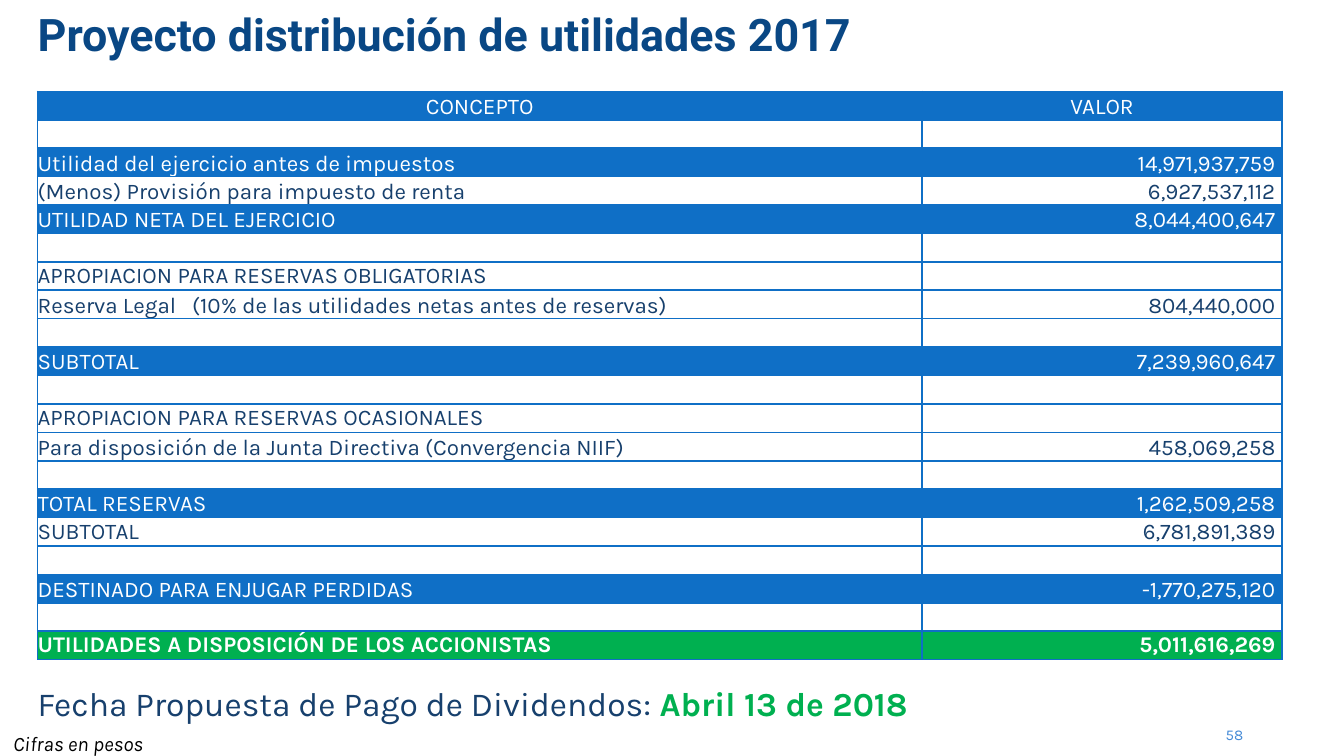
from dataclasses import dataclass
from enum import Enum
from typing import Optional

import pptx
import pptx.dml.color
import pptx.enum.text
import pptx.oxml.ns
import pptx.util
from lxml import etree

Inches = pptx.util.Inches
Align = pptx.enum.text.PP_ALIGN
Anchor = pptx.enum.text.MSO_ANCHOR
qn = pptx.oxml.ns.qn


@dataclass(frozen=True)
class Theme:
    heading_font: str = "Roboto"
    body_font: str = "Karla"
    title: str = "094784"
    text: str = "17406D"
    blue: str = "0F6FC6"
    green: str = "00B050"
    white: str = "FFFFFF"
    black: str = "000000"
    page_number: str = "448AD7"
    title_size: float = 24
    date_size: float = 18
    table_size: float = 12
    note_size: float = 11
    number_size: float = 8
    border_width: float = 1


THEME = Theme()


class RowKind(Enum):
    PLAIN = (None, THEME.text)
    BLUE = (THEME.blue, THEME.white)
    GREEN = (THEME.green, THEME.white)


@dataclass(frozen=True)
class Row:
    concept: str = ""
    value: str = ""
    kind: RowKind = RowKind.PLAIN
    anchor: Anchor = Anchor.BOTTOM


@dataclass(frozen=True)
class Span:
    text: str
    size: float
    color: str
    font: str = THEME.body_font
    bold: bool = False
    italic: bool = False


@dataclass(frozen=True)
class Box:
    left: float
    top: float
    width: float
    height: float
    spans: tuple[Span, ...]
    align: Align = Align.LEFT
    anchor: Anchor = Anchor.TOP
    margins: tuple[float, float] = (0, 0)
    line_spacing: Optional[float] = None


BLANK = Row()
ROWS = (
    Row("CONCEPTO", "VALOR", RowKind.BLUE),
    BLANK,
    Row("Utilidad del ejercicio antes de impuestos", "14,971,937,759", RowKind.BLUE),
    Row("(Menos) Provisión para impuesto de renta", "6,927,537,112"),
    Row("UTILIDAD NETA DEL EJERCICIO", "8,044,400,647", RowKind.BLUE),
    BLANK,
    Row("APROPIACION PARA RESERVAS OBLIGATORIAS", anchor=Anchor.MIDDLE),
    Row("Reserva Legal\t(10% de las utilidades netas antes de reservas)", "804,440,000"),
    BLANK,
    Row("SUBTOTAL", "7,239,960,647", RowKind.BLUE),
    BLANK,
    Row("APROPIACION PARA RESERVAS OCASIONALES", anchor=Anchor.MIDDLE),
    Row("Para disposición de la Junta Directiva (Convergencia NIIF)", "458,069,258"),
    BLANK,
    Row("TOTAL RESERVAS", "1,262,509,258", RowKind.BLUE),
    Row("SUBTOTAL", "6,781,891,389", anchor=Anchor.MIDDLE),
    BLANK,
    Row("DESTINADO PARA ENJUGAR PERDIDAS", "-1,770,275,120", RowKind.BLUE),
    BLANK,
    Row("UTILIDADES A DISPOSICIÓN DE LOS ACCIONISTAS", "5,011,616,269",
        RowKind.GREEN, Anchor.MIDDLE),
)
COLUMN_WIDTHS = (6.58, 2.68)
TABLE_HEIGHT = 4.23
VALUE_MARGIN = 0.05
TAB_STOP = 1.15

BOXES = (
    Box(8.93, 5.4, 0.32, 0.13, (Span("58", THEME.number_size, THEME.page_number),),
        align=Align.RIGHT, anchor=Anchor.BOTTOM),
    Box(0, 5.39, 5.56, 0.25,
        (Span("Cifras en pesos", THEME.note_size, THEME.black, italic=True),),
        margins=(0.1, 0.05)),
    Box(0.28, 0.11, 7.71, 0.57,
        (Span("Proyecto distribución de utilidades 2017", THEME.title_size, THEME.title,
              THEME.heading_font, bold=True),),
        line_spacing=0.85),
    Box(0.28, 5.02, 9.25, 0.33,
        (Span("Fecha Propuesta de Pago de Dividendos: ", THEME.date_size, THEME.text),
         Span("Abril 13 de 2018", THEME.date_size, THEME.green, bold=True)),
        line_spacing=1.2),
)


def rgb(color: str) -> pptx.dml.color.RGBColor:
    return pptx.dml.color.RGBColor.from_string(color)


def add_span(paragraph, span: Span) -> None:
    run = paragraph.add_run()
    run.text = span.text
    run.font.name = span.font
    run.font.size = pptx.util.Pt(span.size)
    run.font.bold = span.bold
    run.font.italic = span.italic
    run.font.color.rgb = rgb(span.color)


def add_box(slide, box: Box) -> None:
    shape = slide.shapes.add_textbox(
        *(Inches(length) for length in (box.left, box.top, box.width, box.height)))
    frame = shape.text_frame
    frame.word_wrap = True
    frame.vertical_anchor = box.anchor
    frame.margin_left = frame.margin_right = Inches(box.margins[0])
    frame.margin_top = frame.margin_bottom = Inches(box.margins[1])
    paragraph = frame.paragraphs[0]
    paragraph.alignment = box.align
    if box.line_spacing:
        paragraph.line_spacing = box.line_spacing
    for span in box.spans:
        add_span(paragraph, span)


def add_borders(cell) -> None:
    properties = cell._tc.get_or_add_tcPr()
    for position, side in enumerate(("a:lnL", "a:lnR", "a:lnT", "a:lnB")):
        line = etree.Element(qn(side), w=str(pptx.util.Pt(THEME.border_width)))
        fill = etree.SubElement(line, qn("a:solidFill"))
        etree.SubElement(fill, qn("a:srgbClr"), val=THEME.blue)
        properties.insert(position, line)


def fill_cell(cell, text: str, row: Row, align: Align, margin_right: float) -> None:
    fill_color, text_color = row.kind.value
    cell.margin_left = cell.margin_top = cell.margin_bottom = 0
    cell.margin_right = Inches(margin_right)
    cell.vertical_anchor = row.anchor
    if fill_color:
        cell.fill.solid()
        cell.fill.fore_color.rgb = rgb(fill_color)
    else:
        cell.fill.background()
    add_borders(cell)
    paragraph = cell.text_frame.paragraphs[0]
    paragraph.alignment = align
    if "\t" in text:
        tabs = etree.SubElement(paragraph._p.get_or_add_pPr(), qn("a:tabLst"))
        etree.SubElement(tabs, qn("a:tab"), pos=str(Inches(TAB_STOP)), algn="l")
    if text:
        add_span(paragraph, Span(text, THEME.table_size, text_color,
                                 bold=row.kind is RowKind.GREEN))
    else:
        # Keeps an empty row from growing to the default text size.
        etree.SubElement(paragraph._p, qn("a:endParaRPr"),
                         sz=str(int(THEME.table_size * 100)))


def add_profit_table(slide) -> None:
    table = slide.shapes.add_table(
        len(ROWS), len(COLUMN_WIDTHS), Inches(0.28), Inches(0.68),
        Inches(sum(COLUMN_WIDTHS)), Inches(TABLE_HEIGHT)).table
    table.first_row = table.horz_banding = False
    for column, width in zip(table.columns, COLUMN_WIDTHS):
        column.width = Inches(width)
    for index, row in enumerate(ROWS):
        table.rows[index].height = Inches(TABLE_HEIGHT / len(ROWS))
        is_header = index == 0
        fill_cell(table.cell(index, 0), row.concept, row,
                  Align.CENTER if is_header else Align.LEFT, 0)
        fill_cell(table.cell(index, 1), row.value, row,
                  Align.CENTER if is_header else Align.RIGHT,
                  0 if is_header else VALUE_MARGIN)


def main() -> None:
    presentation = pptx.Presentation()
    presentation.slide_width = Inches(10)
    presentation.slide_height = Inches(10 * 9 / 16)
    slide = presentation.slides.add_slide(presentation.slide_layouts[6])
    add_profit_table(slide)
    for box in BOXES:
        add_box(slide, box)
    presentation.save("out.pptx")


if __name__ == "__main__":
    main()
